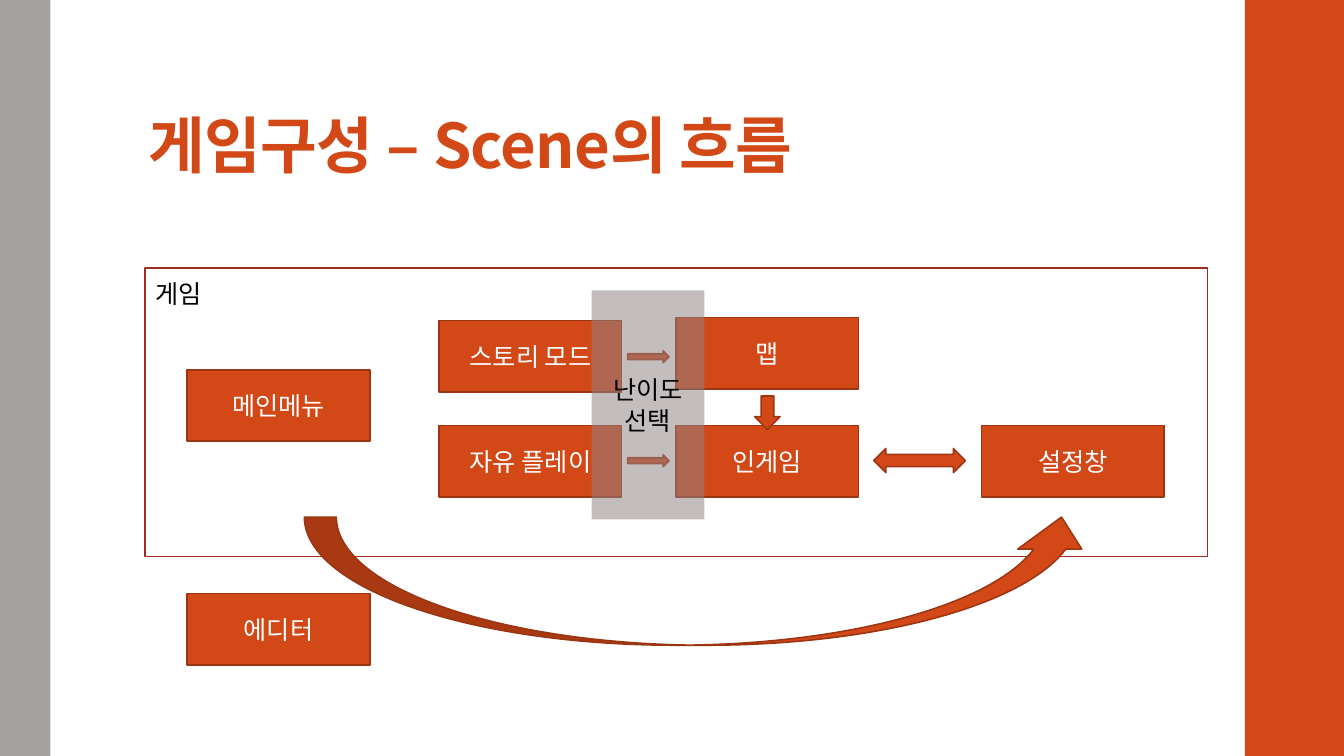
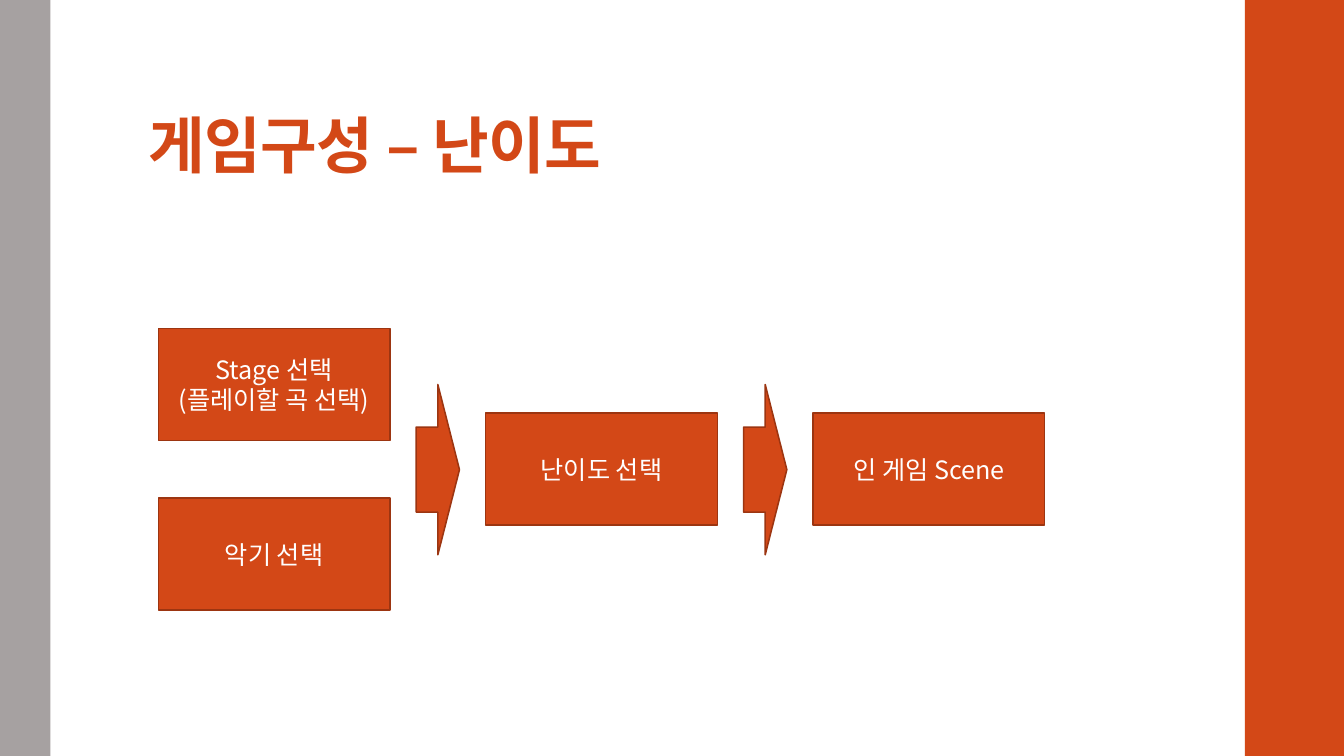
from lxml.etree import SubElement
from pptx import Presentation
from pptx.dml.color import RGBColor
from pptx.enum.shapes import MSO_SHAPE as Preset
from pptx.enum.text import MSO_ANCHOR as Anchor, MSO_AUTO_SIZE as AutoSize, PP_ALIGN as Align
from pptx.oxml.ns import qn
from pptx.util import Cm, Pt

ORANGE, DARK_ORANGE, GRAY, WHITE, BLACK = "D34817", "9C3511", "A6A1A1", "FFFFFF", "000000"
LATIN, KOREAN = "Cambria", "Noto Sans CJK KR"


def write(frame, lines, font, color, size=18, align=Align.CENTER):
    """Fill a text frame, one paragraph per line; return the spans."""
    spans = []
    for number, line in enumerate(lines):
        para = frame.add_paragraph() if number else frame.paragraphs[0]
        para.alignment = align
        span = para.add_run()
        span.text = line
        span.font.name, span.font.size = font, Pt(size)
        span.font.color.rgb = RGBColor.from_string(color)
        SubElement(span.font._element, qn("a:ea")).set("typeface", KOREAN)
        spans.append(span)
    return spans


def draw(page, preset, place, lines=(), font=KOREAN, fill=ORANGE, line=DARK_ORANGE, color=WHITE):
    """Add a preset shape; place is left, top, width, height in cm."""
    box = page.shapes.add_shape(preset, *(Cm(length) for length in place))
    box.shadow.inherit = False
    box.fill.solid()
    box.fill.fore_color.rgb = RGBColor.from_string(fill)
    if line:
        box.line.color.rgb = RGBColor.from_string(line)
        box.line.width = Pt(1.1)
    else:
        box.line.fill.background()
    box.text_frame.word_wrap = True
    box.text_frame.vertical_anchor = Anchor.MIDDLE
    write(box.text_frame, lines, font, color)
    return box


deck = Presentation()
deck.slide_width, deck.slide_height = Cm(33.87), Cm(19.05)

# Shared layout: title place and side bands
layout = deck.slide_layouts[5]
for holder in list(layout.placeholders):
    if holder.placeholder_format.idx:
        holder.element.getparent().remove(holder.element)
    else:
        holder.left, holder.top, holder.width, holder.height = Cm(3.5), Cm(0.81), Cm(26.92), Cm(3.89)

pages = []
for heading, font in [("게임구성 – Scene의 흐름", KOREAN), ("게임구성 – 난이도", LATIN)]:
    page = deck.slides.add_slide(layout)
    frame = page.shapes.title.text_frame
    frame.word_wrap, frame.auto_size = True, AutoSize.NONE
    frame.vertical_anchor = Anchor.BOTTOM
    frame.margin_top = Cm(0.08)
    for span in write(frame, [heading], font, ORANGE, 44, Align.LEFT):
        span.font.bold = True
        span.font._element.set("spc", "-50")
    frame.paragraphs[0].line_spacing = 0.9
    pages.append(page)
scene_page, level_page = pages

for left, width, color in [(0, 1.27, GRAY), (31.37, 2.5, ORANGE)]:
    band = draw(scene_page, Preset.RECTANGLE, (left, 0, width, 19.05), fill=color, line=None)
    layout.shapes.element.insert(2, band.element)

# Scene flow: game frame and its label
draw(scene_page, Preset.RECTANGLE, (3.66, 6.76, 26.77, 7.26), fill=WHITE, line="9B2D1F")
label = scene_page.shapes.add_textbox(Cm(3.66), Cm(6.88), Cm(3.99), Cm(1.02))
label.text_frame.word_wrap = True
write(label.text_frame, ["게임"], LATIN, BLACK, align=Align.LEFT)

# Scene flow: scenes
start, modes, play, settings = 4.72, 11.07, 17.04, 24.74
for name, left, top in [
    ("에디터", start, 14.96), ("메인메뉴", start, 9.32),
    ("스토리 모드", modes, 8.08), ("자유 플레이", modes, 10.72),
    ("맵", play, 8), ("인게임", play, 10.72), ("설정창", settings, 10.72),
]:
    draw(scene_page, Preset.RECTANGLE, (left, top, 4.6, 1.8), [name], LATIN)

# Scene flow: arrows
for preset, place in [
    (Preset.RIGHT_ARROW, (15.82, 8.84, 1.04, 0.3)),
    (Preset.RIGHT_ARROW, (15.82, 11.46, 1.04, 0.3)),
    (Preset.LEFT_RIGHT_ARROW, (22.02, 11.3, 2.31, 0.61)),
    (Preset.DOWN_ARROW, (19.02, 9.98, 0.64, 0.84)),
    (Preset.CURVED_UP_ARROW, (7.67, 13.03, 19.89, 3.23)),
]:
    draw(scene_page, preset, place)

# Scene flow: translucent difficulty step over the arrows
veil = draw(scene_page, Preset.RECTANGLE, (14.91, 7.32, 2.84, 5.77), ["난이도", "선택"],
            fill="918485", line=None, color=BLACK)
veil_color = veil.element.spPr.find(qn("a:solidFill"))[0]
SubElement(veil_color, qn("a:alpha")).set("val", "53000")

# Difficulty: three steps, the first one with two choices
first, pitch = 3.99, 8.25
for lines, step, top in [
    (["Stage 선택", "(플레이할 곡 선택)"], 0, 8.28),
    (["악기 선택"], 0, 12.55),
    (["난이도 선택"], 1, 10.41),
    (["인 게임 Scene"], 2, 10.41),
]:
    draw(level_page, Preset.RECTANGLE, (first + step * pitch, top, 5.84, 2.82), lines)
for step in range(2):
    draw(level_page, Preset.RIGHT_ARROW, (first + 6.5 + step * pitch, 9.69, 1.09, 4.29))

deck.save("out.pptx")
